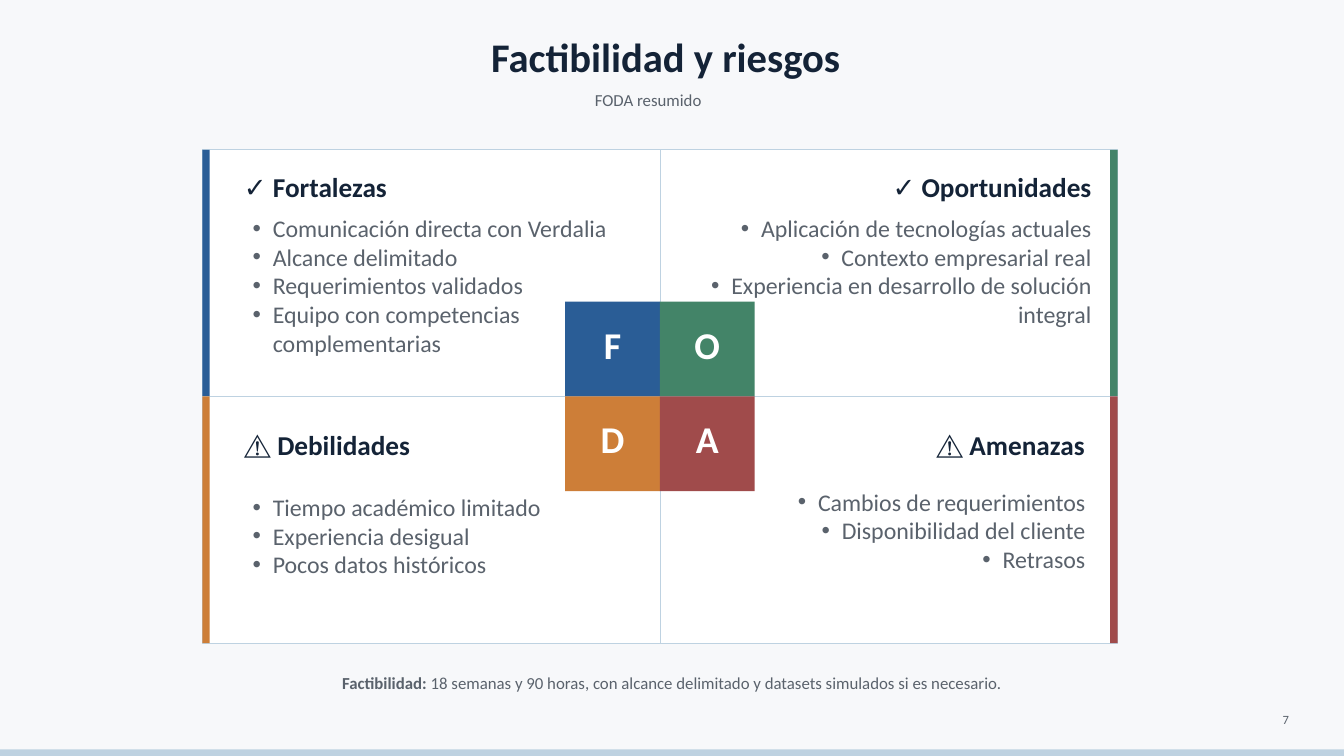
from lxml.etree import SubElement
from pptx import Presentation
from pptx.dml.color import RGBColor
from pptx.enum.shapes import MSO_SHAPE
from pptx.enum.text import PP_ALIGN
from pptx.oxml.ns import qn
from pptx.util import Inches, Pt

NAVY, GREY, WHITE = "142337", "5A626C", "FFFFFF"
PALE_BLUE, BACKGROUND = "BED2E1", "F7F8FA"
LEFT, CENTER, RIGHT = PP_ALIGN.LEFT, PP_ALIGN.CENTER, PP_ALIGN.RIGHT

# Grid of the SWOT matrix
CENTER_X, CENTER_Y = 9.82, 5.9
PANEL_WIDTH, PANEL_HEIGHT = 6.81, 3.67
STRIPE_WIDTH = 0.11
TILE = 1.41


def color(hex_value):
    return RGBColor.from_string(hex_value)


class SlideWriter:
    font = "Calibri"

    def __init__(self, page):
        self.page = page
        page.background.fill.solid()
        page.background.fill.fore_color.rgb = color(BACKGROUND)

    def rectangle(self, left, top, width, height, fill, line=None):
        shape = self.page.shapes.add_shape(
            MSO_SHAPE.RECTANGLE, Inches(left), Inches(top), Inches(width), Inches(height))
        shape.shadow.inherit = False
        shape.fill.solid()
        shape.fill.fore_color.rgb = color(fill)
        if line:
            shape.line.color.rgb = color(line)
            shape.line.width = Pt(0.75)
        else:
            shape.line.fill.background()

    def frame(self, left, top, width, height):
        box = self.page.shapes.add_textbox(
            Inches(left), Inches(top), Inches(width), Inches(height))
        frame = box.text_frame
        frame.word_wrap = True
        frame.margin_left = frame.margin_right = 0
        frame.margin_top = frame.margin_bottom = 0
        return frame

    def style(self, para, size, hex_value, align, spacing, bold=None):
        para.alignment = align
        para.line_spacing = Pt(spacing)
        para.font.name = self.font
        para.font.size = Pt(size)
        para.font.color.rgb = color(hex_value)
        para.font.bold = bold

    def text(self, area, spans, size, hex_value, align, spacing, bold=None):
        """Write one paragraph; spans is a string or (text, bold) pairs."""
        para = self.frame(*area).paragraphs[0]
        if isinstance(spans, str):
            para.text = spans
        else:
            for words, span_bold in spans:
                span = para.add_run()
                span.text = words
                span.font.bold = span_bold
        self.style(para, size, hex_value, align, spacing, bold)

    def bullets(self, area, items, align):
        frame = self.frame(*area)
        for index, item in enumerate(items):
            para = frame.add_paragraph() if index else frame.paragraphs[0]
            para.text = item
            para.level = 1
            properties = para._p.get_or_add_pPr()
            properties.set("marL", str(Inches(0.6)))
            properties.set("indent", str(Inches(-0.3)))
            SubElement(properties, qn("a:buFont")).set("typeface", "Arial")
            SubElement(properties, qn("a:buChar")).set("char", "•")
            self.style(para, 25.6, GREY, align, 30.7)


# Column, row, letter, color, heading and its area, items and their area
QUADRANTS = [
    (0, 0, "F", "2A5D96", "✓ Fortalezas", (3.63, 2.53, 6.02, 0.55),
     ["Comunicación directa con Verdalia", "Alcance delimitado",
      "Requerimientos validados", "Equipo con competencias complementarias"],
     (3.46, 3.18, 6.02, 2.14)),
    (1, 0, "O", "438468", "✓ Oportunidades", (10.22, 2.53, 6.02, 0.55),
     ["Aplicación de tecnologías actuales", "Contexto empresarial real",
      "Experiencia en desarrollo de solución integral"],
     (10.22, 3.18, 6.02, 2.14)),
    (0, 1, "D", "CD7E38", "⚠ Debilidades", (3.63, 6.38, 6.02, 0.55),
     ["Tiempo académico limitado", "Experiencia desigual", "Pocos datos históricos"],
     (3.46, 7.33, 5.06, 1.3)),
    (1, 1, "A", "A04B4B", "⚠ Amenazas", (10.22, 6.38, 5.92, 0.55),
     ["Cambios de requerimientos", "Disponibilidad del cliente", "Retrasos"],
     (10.24, 7.25, 5.91, 1.3)),
]


def main():
    deck = Presentation()
    deck.slide_width, deck.slide_height = Inches(20), Inches(11.25)
    writer = SlideWriter(deck.slides.add_slide(deck.slide_layouts[6]))

    # Title and subtitle
    writer.text((1.07, 0.47, 17.68, 0.82), "Factibilidad y riesgos",
                43.5, NAVY, CENTER, 52.2, bold=True)
    writer.text((1.12, 1.34, 17.05, 0.33), "FODA resumido", 18, GREY, CENTER, 21.6)

    # Panels with a colored stripe on the outer edge
    for column, row, _, accent, *_ in QUADRANTS:
        left = CENTER_X - PANEL_WIDTH * (1 - column)
        top = CENTER_Y - PANEL_HEIGHT * (1 - row)
        stripe_left = 16.52 if column else left
        writer.rectangle(left, top, PANEL_WIDTH, PANEL_HEIGHT, WHITE, PALE_BLUE)
        writer.rectangle(stripe_left, top, STRIPE_WIDTH, PANEL_HEIGHT, accent)

    # Letter tiles around the center, headings and lists
    for column, row, letter, accent, heading, heading_area, items, list_area in QUADRANTS:
        left = CENTER_X - TILE * (1 - column)
        top = CENTER_Y - TILE * (1 - row)
        align = RIGHT if column else LEFT
        writer.rectangle(left, top, TILE, TILE, accent)
        writer.text((left + 0.35, top + 0.29, 0.71, 0.75), letter,
                    40.5, WHITE, CENTER, 48.6, bold=True)
        writer.text(heading_area, heading, 29.2, NAVY, align, 35, bold=True)
        writer.bullets(list_area, items, align)

    # Closing note, page number and bottom band
    note = [("Factibilidad: ", True),
            ("18 semanas y 90 horas, con alcance delimitado y datasets simulados "
             "si es necesario.", False)]
    writer.text((1.25, 10.01, 17.5, 0.33), note, 18, GREY, CENTER, 21.6)
    writer.text((19.08, 10.59, 0.1, 0.25), "7", 13.5, GREY, RIGHT, 16.2)
    writer.rectangle(0, 11.15, 20, 0.28, PALE_BLUE)

    deck.save("out.pptx")


if __name__ == "__main__":
    main()
